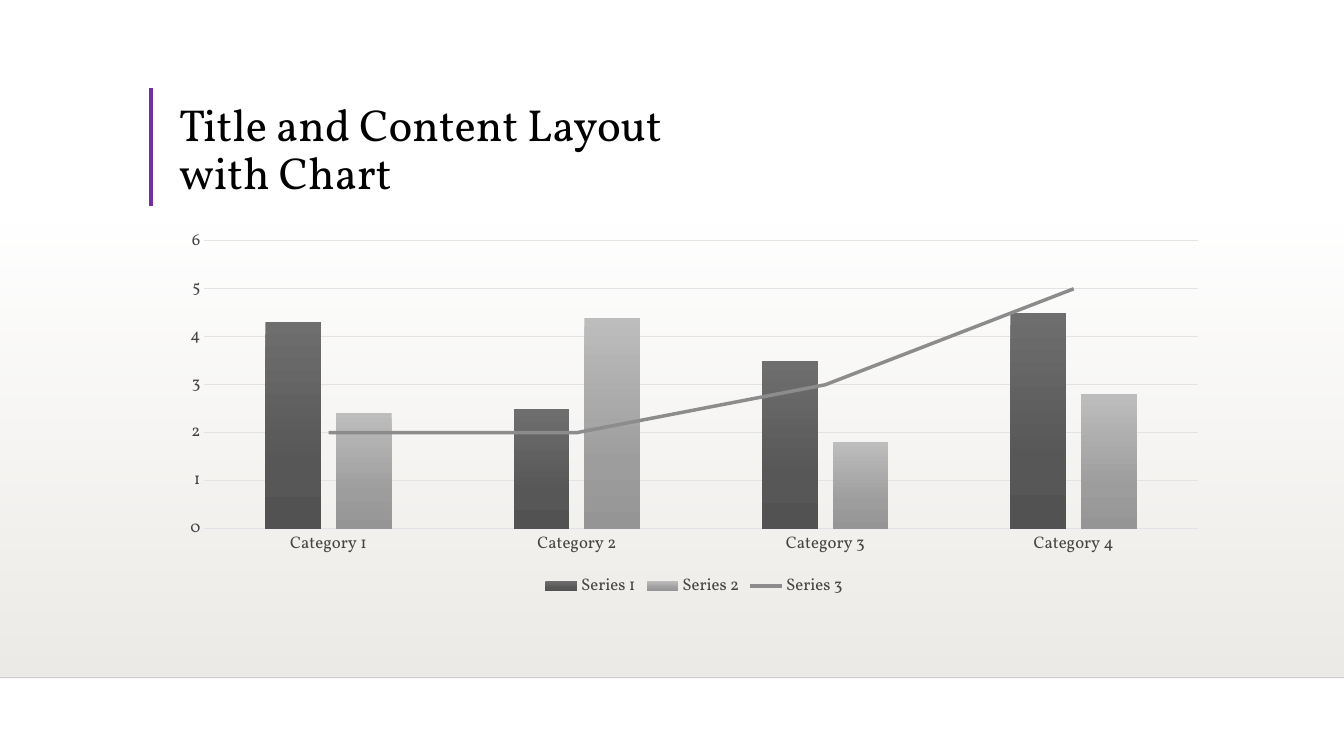
import pptx
import pptx.chart.data
import pptx.dml.color
import pptx.enum.chart
import pptx.enum.shapes
import pptx.enum.text
import pptx.oxml
import pptx.oxml.ns
import pptx.util
from lxml import etree

WIDTH = pptx.util.Inches(13.33)
HEIGHT = pptx.util.Inches(7.5)
FONT = "Vollkorn"
CONTENT_LEFT, CONTENT_WIDTH = 12.6, 78.09  # percent of the slide's width
BAND_TOP = 29.33  # percent of the slide's height
qn = pptx.oxml.ns.qn

CATEGORIES = ["Category 1", "Category 2", "Category 3", "Category 4"]
SERIES = {
    "Series 1": [4.3, 2.5, 3.5, 4.5],
    "Series 2": [2.4, 4.4, 1.8, 2.8],
    "Series 3": [2, 2, 3, 5],
}
COLUMN_GRADIENTS = [
    [(0, "6E6E6E", 100), (69, "575757", 100), (100, "525252", 100)],
    [(0, "BDBDBD", 100), (69, "9D9D9D", 100), (100, "959595", 100)],
]


def rgb(value):
    return pptx.dml.color.RGBColor.from_string(value)


def share(left, top, width, height):
    """Turn percentages of the slide's size into lengths."""
    return [round(percent * side / 100) for percent, side in
            zip((left, top, width, height), (WIDTH, HEIGHT, WIDTH, HEIGHT))]


def apply(target, values):
    for name, value in values.items():
        setattr(target, name, value)


def style_font(font, size, color):
    apply(font, {"name": FONT, "size": pptx.util.Pt(size)})
    font.color.rgb = rgb(color)


def style_line(line, color, width):
    line.color.rgb = rgb(color)
    line.width = pptx.util.Pt(width)


def fill_downward(fill, properties, stops):
    """Fill from top to bottom with stops of (position, colour, opacity)."""
    fill.solid()
    gradient = etree.Element(qn("a:gradFill"), rotWithShape="1")
    stop_list = etree.SubElement(gradient, qn("a:gsLst"))
    for position, color, opacity in stops:
        stop = etree.SubElement(stop_list, qn("a:gs"), pos=str(position * 1000))
        tint = etree.SubElement(stop, qn("a:srgbClr"), val=color)
        if opacity < 100:
            etree.SubElement(tint, qn("a:alpha"), val=str(opacity * 1000))
    etree.SubElement(gradient, qn("a:lin"), ang="5400000", scaled="0")
    properties.replace(properties.find(qn("a:solidFill")), gradient)


def add_band(slide):
    band = slide.shapes.add_shape(
        pptx.enum.shapes.MSO_SHAPE.RECTANGLE, *share(0, BAND_TOP, 100, 60))
    band.shadow.inherit = False
    band.line.fill.background()
    fill_downward(band.fill, band._element.spPr,
                  [(0, "EDEBE7", 0), (100, "EDEBE7", 100)])


def add_rule(slide, start, end, color, width, opacity=100):
    rule = slide.shapes.add_connector(
        pptx.enum.shapes.MSO_CONNECTOR.STRAIGHT, *share(*start, *end))
    style_line(rule.line, color, width)
    properties = rule._element.spPr
    if opacity < 100:
        tint = properties.find(".//" + qn("a:srgbClr"))
        etree.SubElement(tint, qn("a:alpha"), val=str(opacity * 1000))
    etree.SubElement(properties, qn("a:effectLst"))


def add_title(slide, text):
    box = slide.shapes.add_textbox(
        *share(CONTENT_LEFT, 11.73, CONTENT_WIDTH, 15.33))
    frame = box.text_frame
    apply(frame, {"word_wrap": True,
                  "vertical_anchor": pptx.enum.text.MSO_ANCHOR.BOTTOM})
    paragraph = frame.paragraphs[0]
    paragraph.text = text
    paragraph.line_spacing = 0.9
    for run in paragraph.runs:
        style_font(run.font, 32, "000000")


def move_last_series_to_line(chart):
    """Draw the last column series as a line on the same axes."""
    column_plot = chart.plots[0]._element
    series = column_plot.findall(qn("c:ser"))[-1]
    etree.strip_elements(series, qn("c:invertIfNegative"))
    line_plot = pptx.oxml.parse_xml(
        f'<c:lineChart {pptx.oxml.ns.nsdecls("c")}>'
        '<c:grouping val="standard"/><c:varyColors val="0"/>'
        '<c:marker val="1"/></c:lineChart>')
    line_plot.insert(2, series)
    for axis_id in column_plot.findall(qn("c:axId")):
        etree.SubElement(line_plot, qn("c:axId"), val=axis_id.get("val"))
    column_plot.addnext(line_plot)


def style_axes(chart):
    tick_none = pptx.enum.chart.XL_TICK_MARK.NONE
    for axis in (chart.category_axis, chart.value_axis):
        apply(axis, {"major_tick_mark": tick_none, "minor_tick_mark": tick_none})
        style_font(axis.tick_labels.font, 12, "454545")
    style_line(chart.category_axis.format.line, "E3E3E3", 0.75)
    values = chart.value_axis
    apply(values, {"minimum_scale": 0, "maximum_scale": 6, "major_unit": 1,
                   "has_major_gridlines": True})
    values.format.line.fill.background()
    style_line(values.major_gridlines.format.line, "E3E3E3", 0.75)


def add_combined_chart(slide):
    data = pptx.chart.data.CategoryChartData()
    data.categories = CATEGORIES
    for name, values in SERIES.items():
        data.add_series(name, values)
    chart = slide.shapes.add_chart(
        pptx.enum.chart.XL_CHART_TYPE.COLUMN_CLUSTERED,
        *share(CONTENT_LEFT, BAND_TOP, CONTENT_WIDTH, 50.27), data).chart
    style_font(chart.font, 10, "000000")
    apply(chart, {"has_title": False, "has_legend": True})
    apply(chart.legend, {"include_in_layout": False,
                         "position": pptx.enum.chart.XL_LEGEND_POSITION.BOTTOM})
    style_font(chart.legend.font, 12, "454545")
    style_axes(chart)

    move_last_series_to_line(chart)
    columns, lines = chart.plots
    apply(columns, {"gap_width": 219, "overlap": -27, "vary_by_categories": False})
    for series, stops in zip(columns.series, COLUMN_GRADIENTS):
        fill = series.format.fill
        fill_downward(fill, series._element.find(qn("c:spPr")), stops)
    trend = lines.series[0]
    trend.smooth = False
    trend.marker.style = pptx.enum.chart.XL_MARKER_STYLE.NONE
    style_line(trend.format.line, "8C8C8C", 2.5)


def main():
    presentation = pptx.Presentation()
    apply(presentation, {"slide_width": WIDTH, "slide_height": HEIGHT})
    slide = presentation.slides.add_slide(presentation.slide_layouts[6])
    slide.background.fill.solid()
    slide.background.fill.fore_color.rgb = rgb("FFFFFF")
    add_band(slide)
    add_rule(slide, (0, 89.6), (100, 89.6), "000001", 1, opacity=20)
    add_rule(slide, (11.25, 11.6), (11.25, 27.2), "7030A0", 3)
    add_title(slide, "Title and Content Layout \vwith Chart")
    add_combined_chart(slide)
    presentation.save("out.pptx")


if __name__ == "__main__":
    main()
